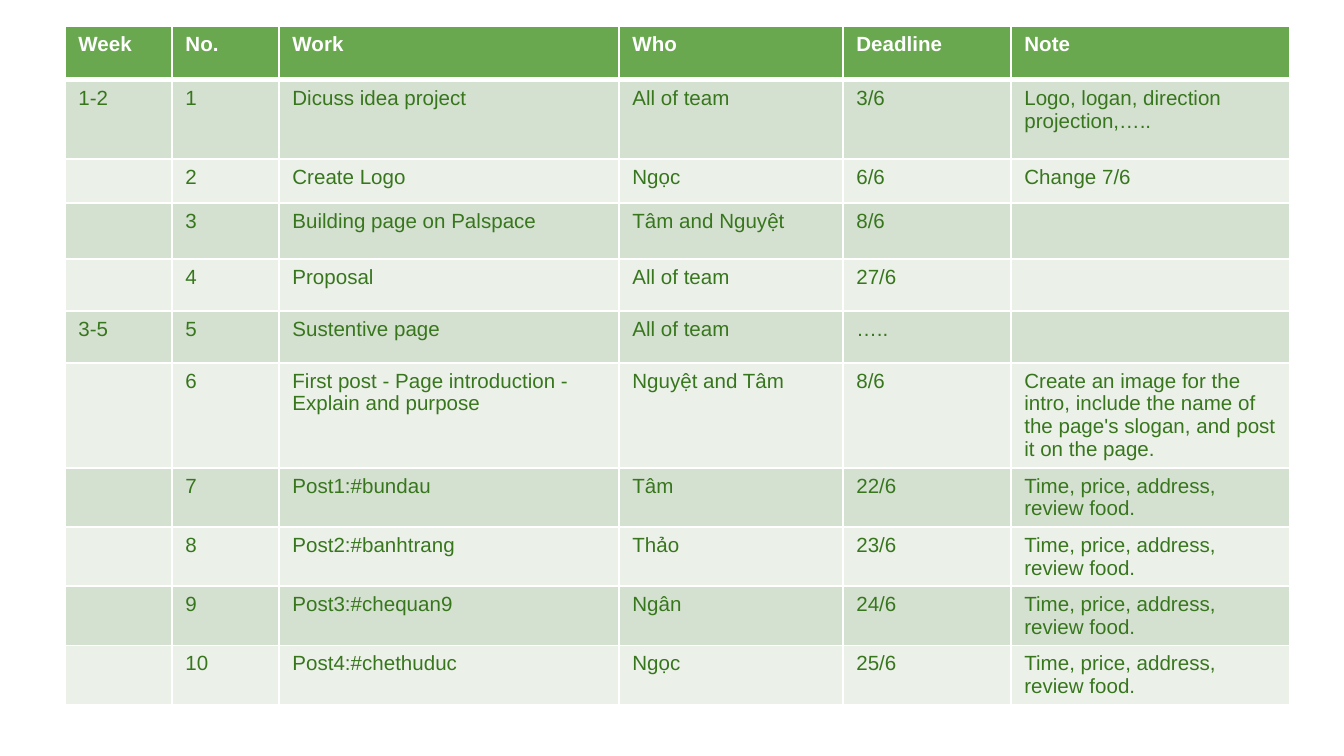
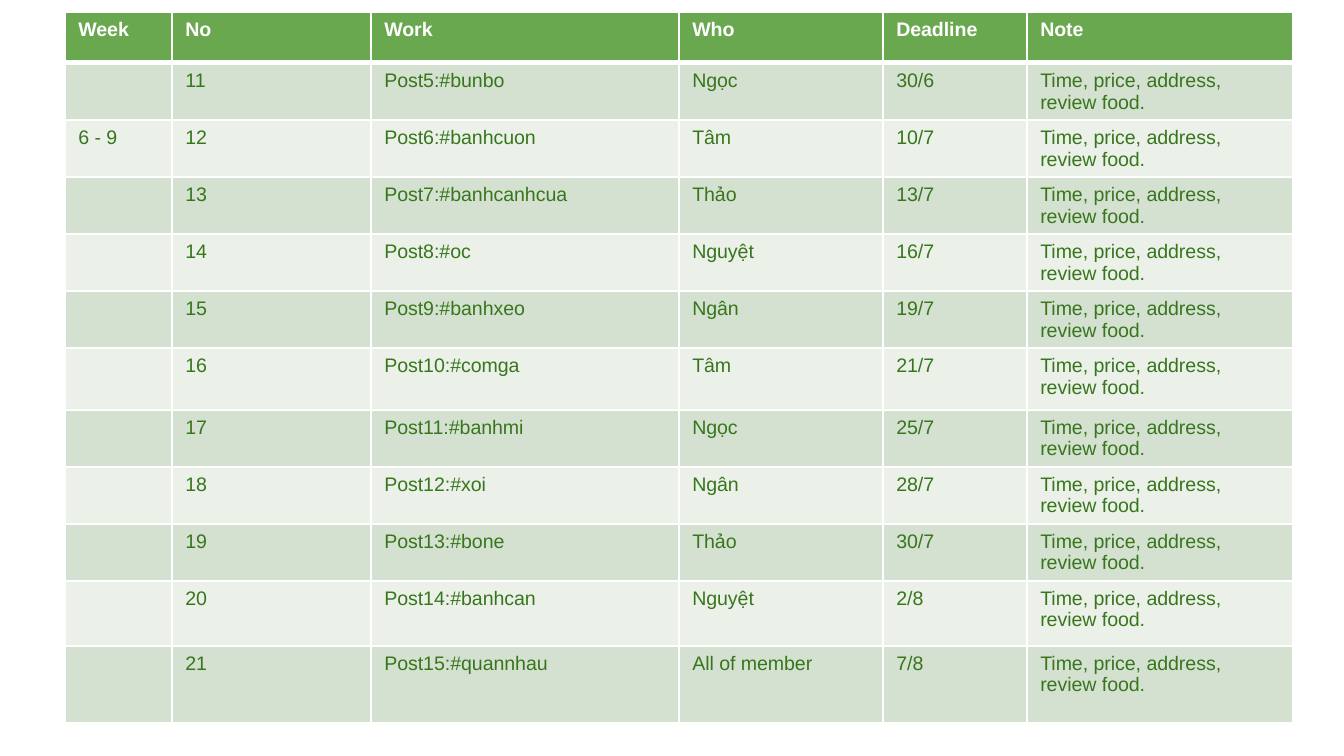
from lxml import etree
from pptx import Presentation, util as u
from pptx.dml.color import RGBColor
from pptx.oxml.ns import qn

PX = 914400 / 134.4
WHITE, HEADER_GREEN, TEXT_GREEN = "FFFFFF", "6AA84F", "38761D"
BANDS = ["D4E1D0", "EBF1E9"]
REVIEW = "Time, price, address, review food."


def px(length):
    return u.Emu(round(length * PX))


def color(value):
    return RGBColor.from_string(value)


schedules = [
    dict(
        top=26, height=703, size=11,
        columns=[107, 107, 340, 224, 168, 279],
        row_heights=[54, 79, 44, 56, 52, 52, 47, 47, 47, 47, 47],
        tasks=[
            ["Week", "No.", "Work", "Who", "Deadline", "Note"],
            ["1-2", "1", "Dicuss idea project", "All of team", "3/6",
             "Logo, logan, direction projection,….."],
            ["", "2", "Create Logo", "Ngọc", "6/6", "Change 7/6"],
            ["", "3", "Building page on Palspace", "Tâm and Nguyệt", "8/6", ""],
            ["", "4", "Proposal", "All of team", "27/6", ""],
            ["3-5", "5", "Sustentive page", "All of team", "…..", ""],
            ["", "6", "First post - Page introduction - Explain and purpose",
             "Nguyệt and Tâm", "8/6",
             "Create an image for the intro, include the name of the page's slogan, "
             "and post it on the page."],
            ["", "7", "Post1:#bundau", "Tâm", "22/6", REVIEW],
            ["", "8", "Post2:#banhtrang", "Thảo", "23/6", REVIEW],
            ["", "9", "Post3:#chequan9", "Ngân", "24/6", REVIEW],
            ["", "10", "Post4:#chethuduc", "Ngọc", "25/6", REVIEW],
        ],
    ),
    dict(
        top=12, height=738, size=10.5,
        columns=[107, 199, 308, 204, 144, 266],
        row_heights=[51, 54, 50, 55, 54, 54, 62, 56, 55, 40, 65, 77],
        tasks=[
            ["Week", "No", "Work", "Who", "Deadline", "Note"],
            ["", "11", "Post5:#bunbo", "Ngọc", "30/6", REVIEW],
            ["6 - 9", "12", "Post6:#banhcuon", "Tâm", "10/7", REVIEW],
            ["", "13", "Post7:#banhcanhcua", "Thảo", "13/7", REVIEW],
            ["", "14", "Post8:#oc", "Nguyệt", "16/7", REVIEW],
            ["", "15", "Post9:#banhxeo", "Ngân", "19/7", REVIEW],
            ["", "16", "Post10:#comga", "Tâm", "21/7", REVIEW],
            ["", "17", "Post11:#banhmi", "Ngọc", "25/7", REVIEW],
            ["", "18", "Post12:#xoi", "Ngân", "28/7", REVIEW],
            ["", "19", "Post13:#bone", "Thảo", "30/7", REVIEW],
            ["", "20", "Post14:#banhcan", "Nguyệt", "2/8", REVIEW],
            ["", "21", "Post15:#quannhau", "All of member", "7/8", REVIEW],
        ],
    ),
]

deck = Presentation()
deck.slide_width, deck.slide_height = px(1344), px(756)

for schedule in schedules:
    slide = deck.slides.add_slide(deck.slide_layouts[6])
    tasks, columns = schedule["tasks"], schedule["columns"]
    frame = slide.shapes.add_table(
        len(tasks), len(columns), px(65), px(schedule["top"]),
        px(sum(columns)), px(schedule["height"]))
    table = frame.table
    for column, width in zip(table.columns, columns):
        column.width = px(width)
    for row, height in zip(table.rows, schedule["row_heights"]):
        row.height = px(height)
    frame.height = px(schedule["height"])

    for row_index, task in enumerate(tasks):
        is_header = row_index == 0
        for column_index, entry in enumerate(task):
            cell = table.cell(row_index, column_index)
            borders = {"lnL": 1, "lnR": 1,
                       "lnT": 3 if row_index == 1 else 1,
                       "lnB": 3 if is_header else 1}
            properties = cell._tc.get_or_add_tcPr()
            for side, points in borders.items():
                line = etree.SubElement(properties, qn("a:" + side), w=str(u.Pt(points)))
                paint = etree.SubElement(line, qn("a:solidFill"))
                etree.SubElement(paint, qn("a:srgbClr"), val=WHITE)
            cell.fill.solid()
            cell.fill.fore_color.rgb = color(
                HEADER_GREEN if is_header else BANDS[(row_index - 1) % 2])

            cell.text = entry
            paragraph = cell.text_frame.paragraphs[0]
            paragraph.font.name = "Arial"
            paragraph.font.size = u.Pt(schedule["size"])
            paragraph.font.bold = is_header
            paragraph.font.color.rgb = color(WHITE if is_header else TEXT_GREEN)
            if not entry:
                etree.SubElement(paragraph._p, qn("a:endParaRPr"),
                                 sz=str(round(schedule["size"] * 100)))

deck.save("out.pptx")
